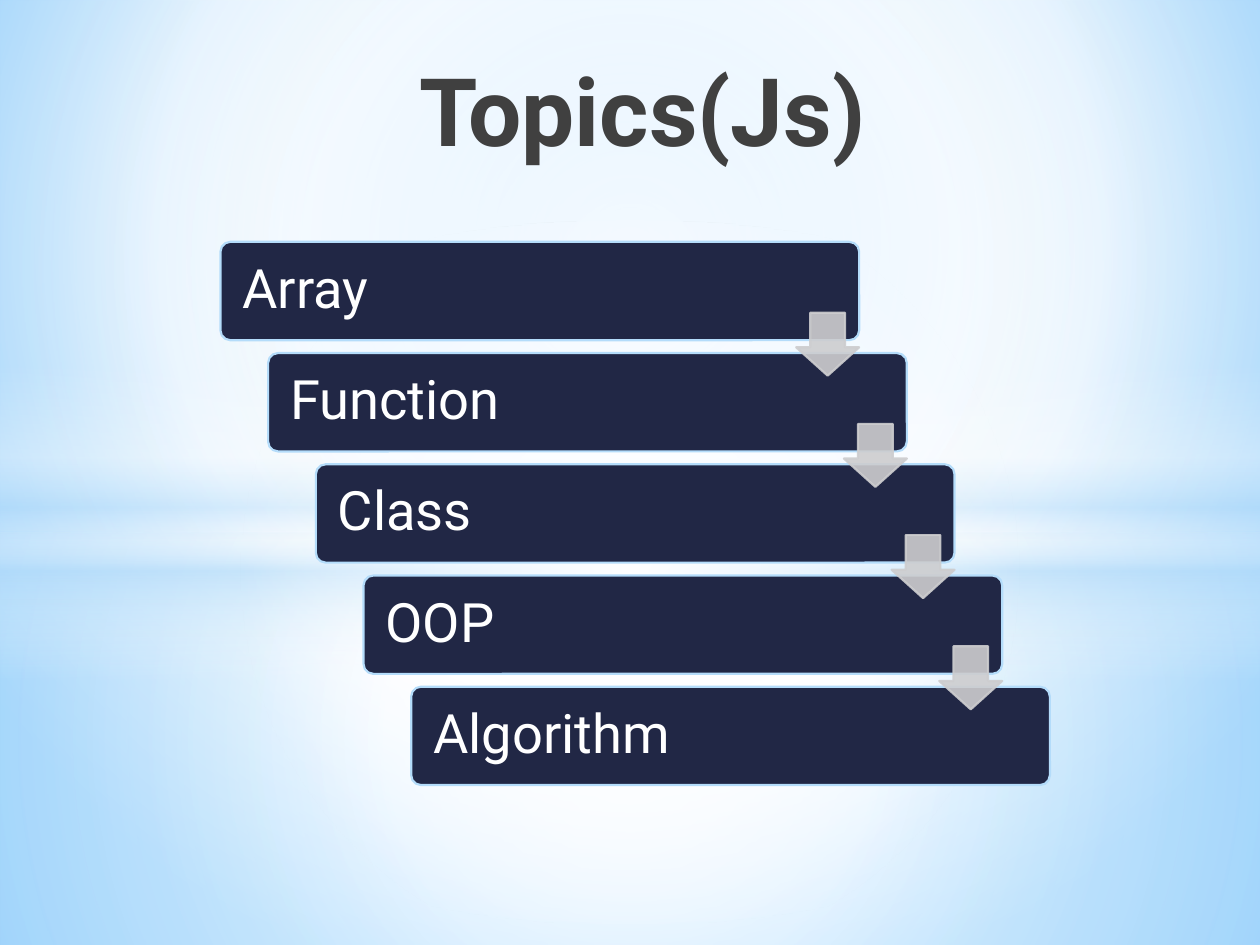
from lxml.etree import SubElement
from pptx import Presentation
from pptx.dml.color import RGBColor
from pptx.enum.shapes import MSO_SHAPE as SHAPE
from pptx.enum.text import MSO_ANCHOR as ANCHOR, PP_ALIGN as ALIGN
from pptx.oxml.ns import qn
from pptx.util import Pt

FONT = "Roboto"
COLORS = {
    "white": "FFFFFF",
    "sky": "9ED5FF",
    "azure": "5BB9FF",
    "pale": "B4DCFA",
    "navy": "212745",
    "title": "404040",
    "arrow": "CDCDCF",
}
TOPICS = ["Array", "Function", "Class", "OOP", "Algorithm"]
CENTER = (50, 50, 50, 50)


def rgb(name):
    return RGBColor.from_string(COLORS[name])


def set_alpha(color, percent):
    SubElement(color, qn("a:alpha"), val=str(percent * 1000))


def set_gradient(parent, stops, focus=None):
    """Swap the solid fill in parent for a circular gradient, or a vertical one without focus."""
    solid = parent.find(qn("a:solidFill"))
    grad = parent.makeelement(qn("a:gradFill"), {"rotWithShape": "1"})
    parent.replace(solid, grad)
    stop_list = SubElement(grad, qn("a:gsLst"))
    for position, name, opacity in stops:
        stop = SubElement(stop_list, qn("a:gs"), pos=str(position * 1000))
        color = SubElement(stop, qn("a:srgbClr"), val=COLORS[name])
        if opacity < 100:
            set_alpha(color, opacity)
    if focus:
        circle = SubElement(grad, qn("a:path"), {"path": "circle"})
        sides = {side: str(v * 1000) for side, v in zip("ltrb", focus)}
        SubElement(circle, qn("a:fillToRect"), sides)
    else:
        SubElement(grad, qn("a:lin"), ang="5400000", scaled="0")


def add_filled(slide, kind, box, fill, line=None):
    s = slide.shapes.add_shape(kind, *map(Pt, box))
    s.shadow.inherit = False
    s.fill.solid()
    s.fill.fore_color.rgb = rgb(fill)
    if line:
        s.line.color.rgb = rgb(line)
        s.line.width = Pt(1.25)
    else:
        s.line.fill.background()
    return s


def add_text(tf, text, size, color, align, bold=False):
    tf.word_wrap = True
    tf.vertical_anchor = ANCHOR.MIDDLE
    p = tf.paragraphs[0]
    p.alignment = align
    p.line_spacing = 0.9
    r = p.add_run()
    r.text = text
    r.font.name, r.font.size, r.font.bold = FONT, Pt(size), bold
    r.font.color.rgb = rgb(color)


def add_backdrop(slide, width, height):
    slide.background.fill.solid()
    set_gradient(slide.element.find(".//" + qn("p:bgPr")),
                 [(0, "sky", 100), (60, "white", 100), (100, "azure", 100)],
                 (20, 10, 20, 60))
    horizon = 304.5
    layers = [
        (SHAPE.RECTANGLE, horizon, height - horizon,
         [(0, "white", 91), (37, "white", 76), (100, "pale", 79)], CENTER),
        (SHAPE.RECTANGLE, 0, horizon,
         [(0, "white", 89), (48, "white", 62), (100, "pale", 79)], CENTER),
        (SHAPE.RECTANGLE, 209, 180,
         [(0, "white", 0), (29, "white", 30), (45, "pale", 40),
          (55, "white", 26), (65, "pale", 60), (100, "white", 0)], None),
        (SHAPE.OVAL, 126, 402, [(0, "white", 100), (54, "white", 0)], CENTER),
    ]
    for kind, top, depth, stops, focus in layers:
        s = add_filled(slide, kind, (0, top, width, depth), "white")
        set_gradient(s.element.spPr, stops, focus)


def add_title(slide, x, y, w, h):
    tf = slide.shapes.add_textbox(*map(Pt, (x, y, w, h))).text_frame
    tf.margin_left = Pt(21.6)
    add_text(tf, "Topics(Js)", 54, "title", ALIGN.CENTER, bold=True)


def add_staircase(slide, x, y, w, h):
    """Bars stepping down to the right, with an arrow from each to the next."""
    bar_w, bar_h, arrow = 365, 56.2, 36
    steps = len(TOPICS) - 1
    dx, dy = (w - bar_w) / steps, (h - bar_h) / steps
    corners = [(x + i * dx, y + i * dy) for i in range(len(TOPICS))]
    for topic, (left, top) in zip(TOPICS, corners):
        s = add_filled(slide, SHAPE.ROUNDED_RECTANGLE,
                       (left, top, bar_w, bar_h), "navy", "pale")
        s.adjustments[0] = 0.1
        s.text_frame.margin_left = Pt(11)
        add_text(s.text_frame, topic, 31, "white", ALIGN.LEFT)
    for left, top in corners[:-1]:
        s = add_filled(slide, SHAPE.DOWN_ARROW,
                       (left + bar_w - arrow, top + 40.5, arrow, arrow),
                       "arrow", "arrow")
        s.adjustments[0], s.adjustments[1] = 0.55, 0.45
        for color in s.element.spPr.iter(qn("a:srgbClr")):
            set_alpha(color, 90)


def main():
    prs = Presentation()
    prs.slide_width, prs.slide_height = Pt(720), Pt(540)
    slide = prs.slides.add_slide(prs.slide_layouts[6])
    add_backdrop(slide, 720, 540)
    add_title(slide, 0, 24, 720, 84)
    add_staircase(slide, 126, 138.2, 474, 310.4)
    prs.save("out.pptx")


if __name__ == "__main__":
    main()
